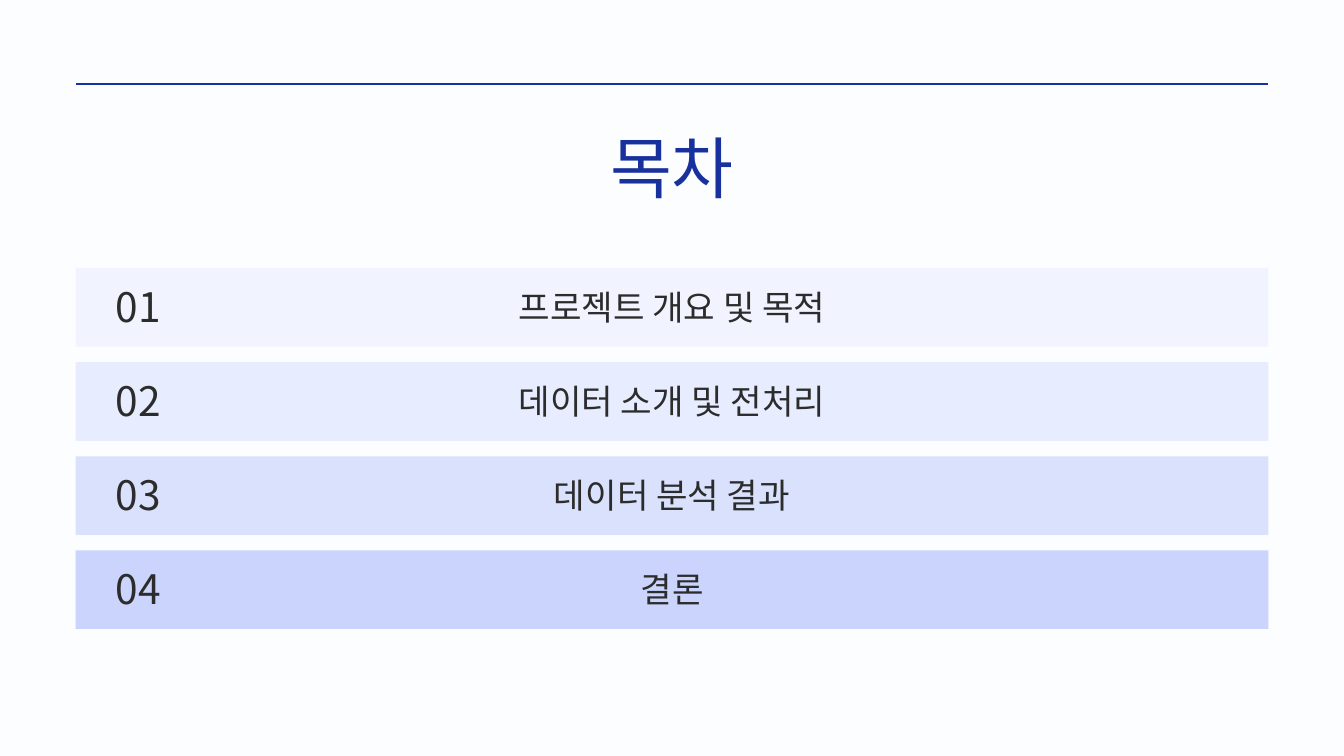
"""Build the table of contents slide with four tinted rows."""
from lxml import etree
from pptx import Presentation
from pptx.dml.color import RGBColor
from pptx.enum.shapes import MSO_CONNECTOR, MSO_SHAPE
from pptx.enum.text import MSO_ANCHOR, PP_ALIGN
from pptx.oxml.ns import qn
from pptx.util import Inches, Pt

STRAIGHT = MSO_CONNECTOR.STRAIGHT
RECT = MSO_SHAPE.RECTANGLE
TOP = MSO_ANCHOR.TOP
MID, JUST = PP_ALIGN.CENTER, PP_ALIGN.JUSTIFY

PAPER = RGBColor(0xFB, 0xFD, 0xFF)
NAVY = RGBColor(0x19, 0x31, 0x9D)
TINT = RGBColor(0x9B, 0xAD, 0xFA)
INK = RGBColor(0x2C, 0x2C, 0x2C)
SANS, HEAD = "Noto Sans CJK KR", "Cabin"

TITLE = "목차"
ROWS = [
    ("01", "프로젝트 개요 및 목적", 10),
    ("02", "데이터 소개 및 전처리", 20),
    ("03", "데이터 분석 결과", 35),
    ("04", "결론", 50),
]
LEFT, WIDTH = 1.125, 17.75
FIRST, STEP, HIGH = 3.99, 1.4, 1.17


def write(shape, text, size, lead, font, color, align):
    frame = shape.text_frame
    frame.word_wrap = True
    frame.vertical_anchor = TOP
    frame.margin_left = frame.margin_right = 0
    frame.margin_top = frame.margin_bottom = 0
    para = frame.paragraphs[0]
    para.alignment = align
    para.line_spacing = Pt(lead)
    run = para.add_run()
    run.text = text
    run.font.size = Pt(size)
    run.font.name = font
    run.font.color.rgb = color
    east = etree.SubElement(run.font._element, qn("a:ea"))
    east.set("typeface", font)


def add_rule(slide):
    rule = slide.shapes.add_connector(
        STRAIGHT, Inches(LEFT), Inches(1.25), Inches(LEFT + WIDTH), Inches(1.25))
    rule.line.color.rgb = NAVY
    rule.line.width = Pt(2.25)
    etree.SubElement(rule._element.spPr, qn("a:effectLst"))


def add_band(slide, top, alpha):
    band = slide.shapes.add_shape(
        RECT, Inches(LEFT), Inches(top), Inches(WIDTH), Inches(HIGH))
    band.shadow.inherit = False
    band.line.fill.background()
    band.fill.solid()
    band.fill.fore_color.rgb = TINT
    tone = band._element.spPr.find(qn("a:solidFill"))[0]
    etree.SubElement(tone, qn("a:alpha")).set("val", str(alpha * 1000))


def add_label(slide, left, top, width, height, *style):
    box = slide.shapes.add_textbox(
        Inches(left), Inches(top), Inches(width), Inches(height))
    write(box, *style)


def main():
    deck = Presentation()
    deck.slide_width, deck.slide_height = Inches(20), Inches(11.25)
    slide = deck.slides.add_slide(deck.slide_layouts[5])
    slide.background.fill.solid()
    slide.background.fill.fore_color.rgb = PAPER

    title = slide.shapes.title
    title.left, title.top = Inches(5.41), Inches(2.1)
    title.width, title.height = Inches(9.18), Inches(1.22)
    write(title, TITLE, 72, 70.5, HEAD, NAVY, MID)

    add_rule(slide)
    for i, (num, topic, alpha) in enumerate(ROWS):
        top = FIRST + i * STEP
        add_band(slide, top, alpha)
        add_label(slide, 1.72, top + 0.2, 2.64, 0.74,
                  num, 43.5, 52.2, SANS, INK, JUST)
        add_label(slide, LEFT, top + 0.27, WIDTH, 0.61,
                  topic, 36.7, 44, SANS, INK, MID)
    deck.save("out.pptx")


if __name__ == "__main__":
    main()
